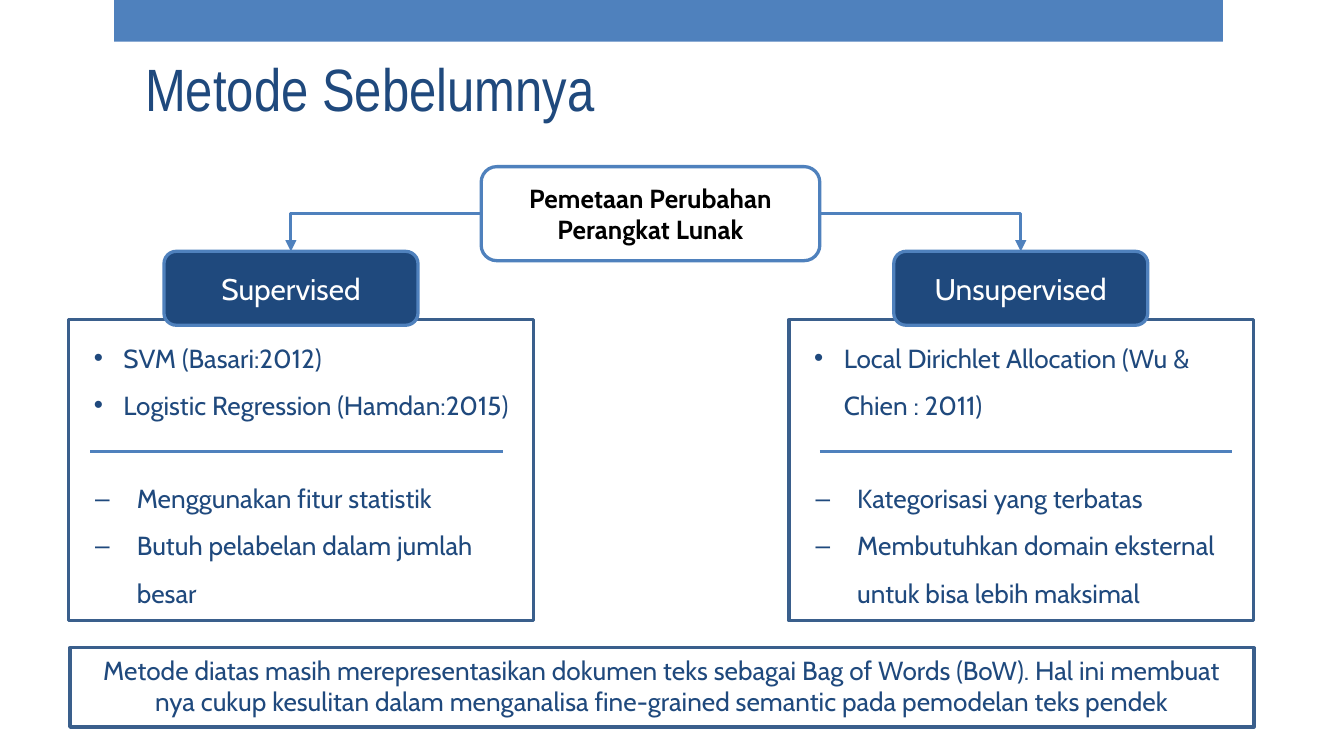
from dataclasses import dataclass

from lxml import etree
from pptx import Presentation
from pptx.dml.color import RGBColor
from pptx.enum.shapes import MSO_CONNECTOR, MSO_SHAPE
from pptx.enum.text import MSO_ANCHOR, PP_ALIGN
from pptx.oxml.ns import qn
from pptx.util import Emu, Pt

RECT, ROUNDED = MSO_SHAPE.RECTANGLE, MSO_SHAPE.ROUNDED_RECTANGLE
STRAIGHT, ELBOW = MSO_CONNECTOR.STRAIGHT, MSO_CONNECTOR.ELBOW
LEFT, CENTER = PP_ALIGN.LEFT, PP_ALIGN.CENTER
TOP, MIDDLE, BOTTOM = MSO_ANCHOR.TOP, MSO_ANCHOR.MIDDLE, MSO_ANCHOR.BOTTOM
TITLE_ONLY = 5
SITE_TOP, SITE_LEFT, SITE_RIGHT = 0, 1, 3
PX = 9144  # 100 px to the inch


@dataclass(frozen=True)
class Theme:
    navy: str = "1F497D"
    blue: str = "4F81BD"
    frame: str = "3A5F8C"
    white: str = "FFFFFF"
    black: str = "000000"
    title_font: str = "Arial Narrow"
    body_font: str = "Cabin"
    title_size: int = 32
    label_size: int = 16
    body_size: int = 14
    border: float = 1.75


THEME = Theme()


def px(*lengths):
    return [Emu(length * PX) for length in lengths]


def color(value):
    return RGBColor.from_string(value)


def add_span(para, text, size, ink, font=THEME.body_font, bold=False):
    span = para.add_run()
    span.text = text
    span.font.name = font
    span.font.size = Pt(size)
    span.font.bold = bold
    span.font.color.rgb = color(ink)


def add_box(page, kind, box, fill, line=None, anchor=TOP):
    shape = page.shapes.add_shape(kind, *px(*box))
    shape.shadow.inherit = False
    shape.fill.solid()
    shape.fill.fore_color.rgb = color(fill)
    if line:
        shape.line.color.rgb = color(line)
        shape.line.width = Pt(THEME.border)
    else:
        shape.line.fill.background()
    shape.text_frame.word_wrap = True
    shape.text_frame.vertical_anchor = anchor
    return shape


def add_label(page, kind, box, text, fill, line, size, ink, anchor=MIDDLE, bold=False):
    shape = add_box(page, kind, box, fill, line, anchor)
    para = shape.text_frame.paragraphs[0]
    para.alignment = CENTER
    add_span(para, text, size, ink, bold=bold)
    return shape


def add_line(page, kind, points, width):
    line = page.shapes.add_connector(kind, *px(*points))
    line.line.color.rgb = color(THEME.blue)
    line.line.width = Pt(width)
    etree.SubElement(line._element.spPr, qn("a:effectLst"))
    return line


def add_item(para, text, mark, margin, hang):
    para.alignment = LEFT
    para.line_spacing = 1.5
    props = para._p.get_or_add_pPr()
    props.set("marL", str(margin * PX))
    props.set("indent", str(-hang * PX))
    etree.SubElement(props, qn("a:buFont")).set("typeface", "Arial")
    etree.SubElement(props, qn("a:buChar")).set("char", mark)
    add_span(para, text, THEME.body_size, THEME.navy)


def add_header(page, box):
    """Top band with the title below it."""
    left, top, width, height = box
    add_box(page, RECT, box, THEME.blue)
    title = page.shapes.title
    title.left, title.top, title.width, title.height = px(left + 13, top + 29, 709, 68)
    title.text_frame.vertical_anchor = BOTTOM
    para = title.text_frame.paragraphs[0]
    para.alignment = LEFT
    add_span(para, "Metode Sebelumnya", THEME.title_size, THEME.navy, THEME.title_font)


def add_method(page, box, inset, name, methods, limits):
    """Framed column: methods, divider, limits, and a name tab on the top edge."""
    left, top, width, height = box
    frame = add_box(page, RECT, box, THEME.white, THEME.frame).text_frame
    items = [(text, "•", 31, 22) for text in methods]
    items += [(text, "–", 41, 31) for text in limits]
    for index, item in enumerate(items):
        para = frame.add_paragraph() if index else frame.paragraphs[0]
        if index == len(methods):
            para.space_before = Pt(25)
        add_item(para, *item)

    # Divider
    start, level = left + inset, top + 98
    add_line(page, STRAIGHT, (start, level, start + 307, level), 1.25)

    # Name tab
    return add_label(page, ROUNDED, (start + 55, top - 51, 189, 55), name,
                     THEME.navy, THEME.blue, THEME.label_size, THEME.white)


def add_branch(page, root, site, tab):
    """Elbow arrow from a side of the root to the top of a tab."""
    arrow = add_line(page, ELBOW, (0, 0, 10, 10), 1.5)
    arrow.begin_connect(root, site)
    arrow.end_connect(tab, SITE_TOP)
    arrow._element.spPr.find(qn("a:prstGeom")).set("prst", "bentConnector2")
    outline = arrow.line._get_or_add_ln()
    etree.SubElement(outline, qn("a:tailEnd")).set("type", "triangle")


def main():
    deck = Presentation()
    deck.slide_width = Emu(1000 * PX)
    deck.slide_height = Emu(deck.slide_width * 9 // 16)
    page = deck.slides.add_slide(deck.slide_layouts[TITLE_ONLY])

    add_header(page, (85, 0, 825, 31))

    # Method tree
    root = add_label(page, ROUNDED, (358, 124, 252, 70),
                     "Pemetaan Perubahan Perangkat Lunak", THEME.white, THEME.blue,
                     THEME.body_size, THEME.black, bold=True)
    columns = [
        (51, 16, SITE_LEFT, "Supervised",
         ["SVM (Basari:2012)", "Logistic Regression (Hamdan:2015)"],
         ["Menggunakan fitur statistik", "Butuh pelabelan dalam jumlah besar"]),
        (587, 23, SITE_RIGHT, "Unsupervised",
         ["Local Dirichlet Allocation (Wu & Chien : 2011)"],
         ["Kategorisasi yang terbatas",
          "Membutuhkan domain eksternal untuk bisa lebih maksimal"]),
    ]
    for left, inset, site, name, methods, limits in columns:
        tab = add_method(page, (left, 238, 346, 224), inset, name, methods, limits)
        add_branch(page, root, site, tab)

    # Conclusion
    add_label(page, RECT, (52, 482, 881, 59),
              "Metode diatas masih merepresentasikan dokumen teks sebagai Bag of Words "
              "(BoW). Hal ini membuat nya cukup kesulitan dalam menganalisa "
              "fine-grained semantic pada pemodelan teks pendek",
              THEME.white, THEME.frame, THEME.body_size, THEME.navy, TOP)

    deck.save("out.pptx")


if __name__ == "__main__":
    main()
